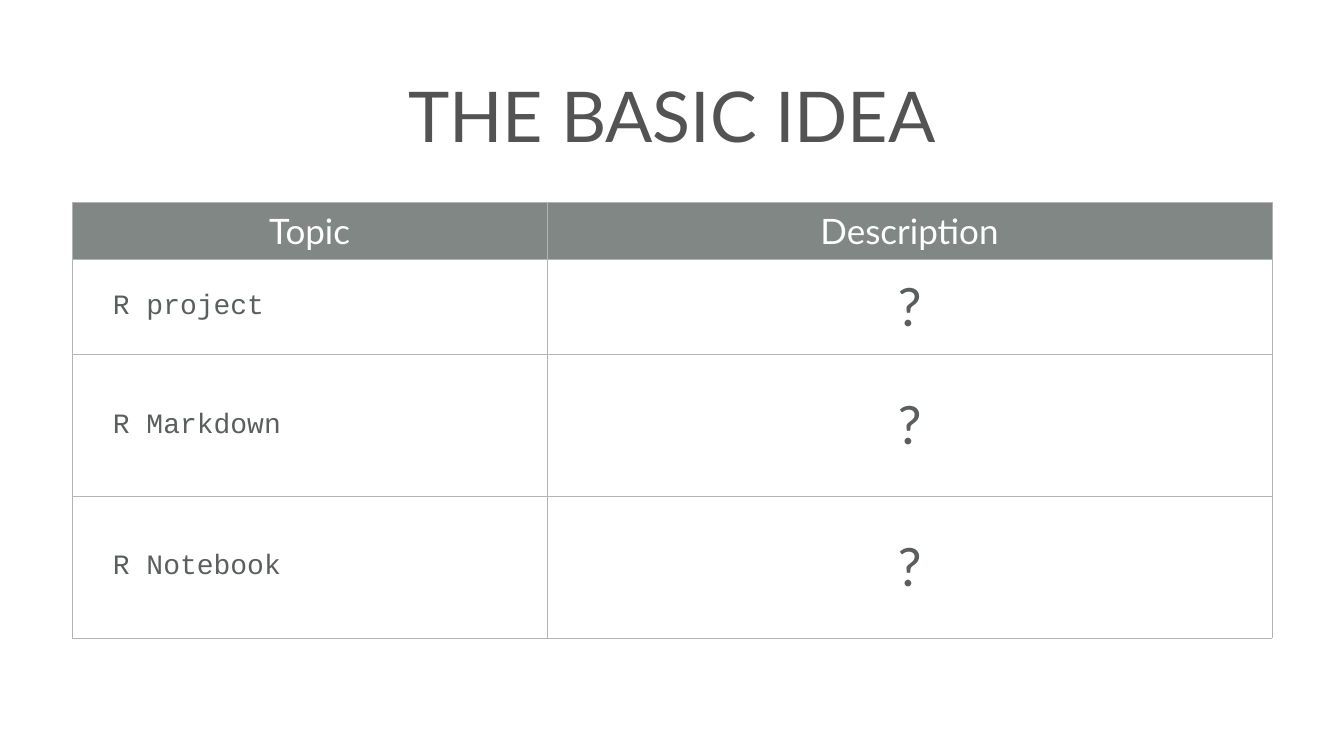
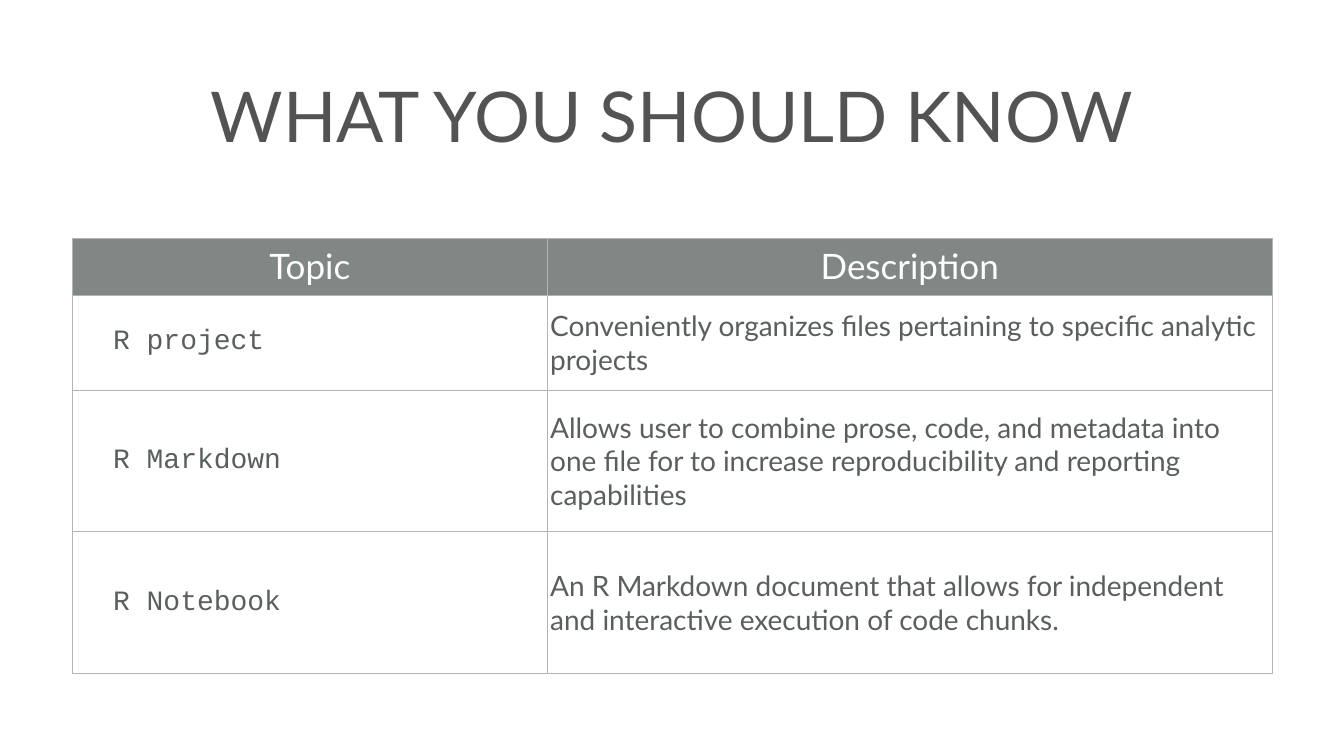
import pptx
import pptx.util
import pptx.dml.color
import pptx.enum.text
import pptx.oxml
import pptx.oxml.ns

Cm, Pt = pptx.util.Cm, pptx.util.Pt
ALIGN = pptx.enum.text.PP_ALIGN
MIDDLE = pptx.enum.text.MSO_ANCHOR.MIDDLE

COLORS = {
    "title": "535353",
    "head": "808785",
    "white": "FFFFFF",
    "body": "5A5F5E",
    "rule": "B4B4B4",
}
# Each style: font, size, colour, alignment, indent in cm
STYLES = {
    "title": ("Lato", 100, "title", ALIGN.CENTER, 0),
    "head": ("Lato", 50, "white", ALIGN.CENTER, 0),
    "topic": ("Courier New", 40, "body", ALIGN.LEFT, 1.9),
    "mark": ("Calibri", 80, "body", ALIGN.CENTER, 0),
    "text": ("Lato", 40, "body", ALIGN.LEFT, 0),
}
INSET = Cm(0.15)
TITLE_BOX = (1.85, 0.99, 64.03, 9.53)
COLS = (23.93, 36.55)
ROWS = (2.87, 4.8, 7.14, 7.14)
HEADS = ("Topic", "Description")
TOPICS = ("R project", "R Markdown", "R Notebook")
SLIDES = [
    ("THE BASIC IDEA", (3.64, 10.21), "mark", ["?"] * 3),
    ("WHAT YOU SHOULD KNOW", (3.65, 11.99), "text", [
        "Conveniently organizes files pertaining to specific analytic projects",
        "Allows user to combine prose, code, and metadata into one file for to "
        "increase reproducibility and reporting capabilities",
        "An R Markdown document that allows for independent and interactive "
        "execution of code chunks.",
    ]),
]


def write(frame, text, style):
    """Put one styled run in the first paragraph of a text frame."""
    face, size, color, align, indent = STYLES[style]
    para = frame.paragraphs[0]
    para.alignment = align
    if indent:
        para.level = 3
        props = para._p.get_or_add_pPr()
        props.set("marL", str(Cm(indent)))
        props.set("indent", "0")
    run = para.add_run()
    run.text = text
    font = run.font
    font.name, font.size, font.bold = face, Pt(size), False
    font.color.rgb = pptx.dml.color.RGBColor.from_string(COLORS[color])


def inset(box):
    box.margin_left = box.margin_right = INSET
    box.margin_top = box.margin_bottom = INSET
    box.vertical_anchor = MIDDLE


def add_title(slide, text, box):
    title = slide.shapes.title
    title.left, title.top, title.width, title.height = map(Cm, box)
    frame = title.text_frame
    frame.auto_size = pptx.enum.text.MSO_AUTO_SIZE.NONE
    frame.word_wrap = True
    inset(frame)
    write(frame, text, "title")


def add_rules(cell):
    """Draw a thin border on all four sides of a cell."""
    props = cell._tc.get_or_add_tcPr()
    for side in "LRTB":
        props.append(pptx.oxml.parse_xml(
            f'<a:ln{side} {pptx.oxml.ns.nsdecls("a")} w="{Pt(1)}">'
            f'<a:solidFill><a:srgbClr val="{COLORS["rule"]}"/></a:solidFill>'
            f'</a:ln{side}>'))


def fill_cell(cell, text, style):
    inset(cell)
    add_rules(cell)
    if style == "head":
        cell.fill.solid()
        cell.fill.fore_color.rgb = pptx.dml.color.RGBColor.from_string(COLORS["head"])
    else:
        cell.fill.background()
    write(cell.text_frame, text, style)


def add_topics(slide, spot, style, notes):
    """Place the topic table with its top left corner at the spot."""
    table = slide.shapes.add_table(
        len(ROWS), len(COLS), *map(Cm, spot), Cm(sum(COLS)), Cm(sum(ROWS))).table
    table.first_row = table.horz_banding = False
    for col, width in zip(table.columns, COLS):
        col.width = Cm(width)
    for row, height in zip(table.rows, ROWS):
        row.height = Cm(height)
    for col, head in enumerate(HEADS):
        fill_cell(table.cell(0, col), head, "head")
    for row, (topic, note) in enumerate(zip(TOPICS, notes), 1):
        fill_cell(table.cell(row, 0), topic, "topic")
        fill_cell(table.cell(row, 1), note, style)


def main():
    deck = pptx.Presentation()
    deck.slide_width, deck.slide_height = Cm(67.74), Cm(38.1)
    for title, spot, style, notes in SLIDES:
        slide = deck.slides.add_slide(deck.slide_layouts[5])
        add_title(slide, title, TITLE_BOX)
        add_topics(slide, spot, style, notes)
    deck.save("out.pptx")


if __name__ == "__main__":
    main()
